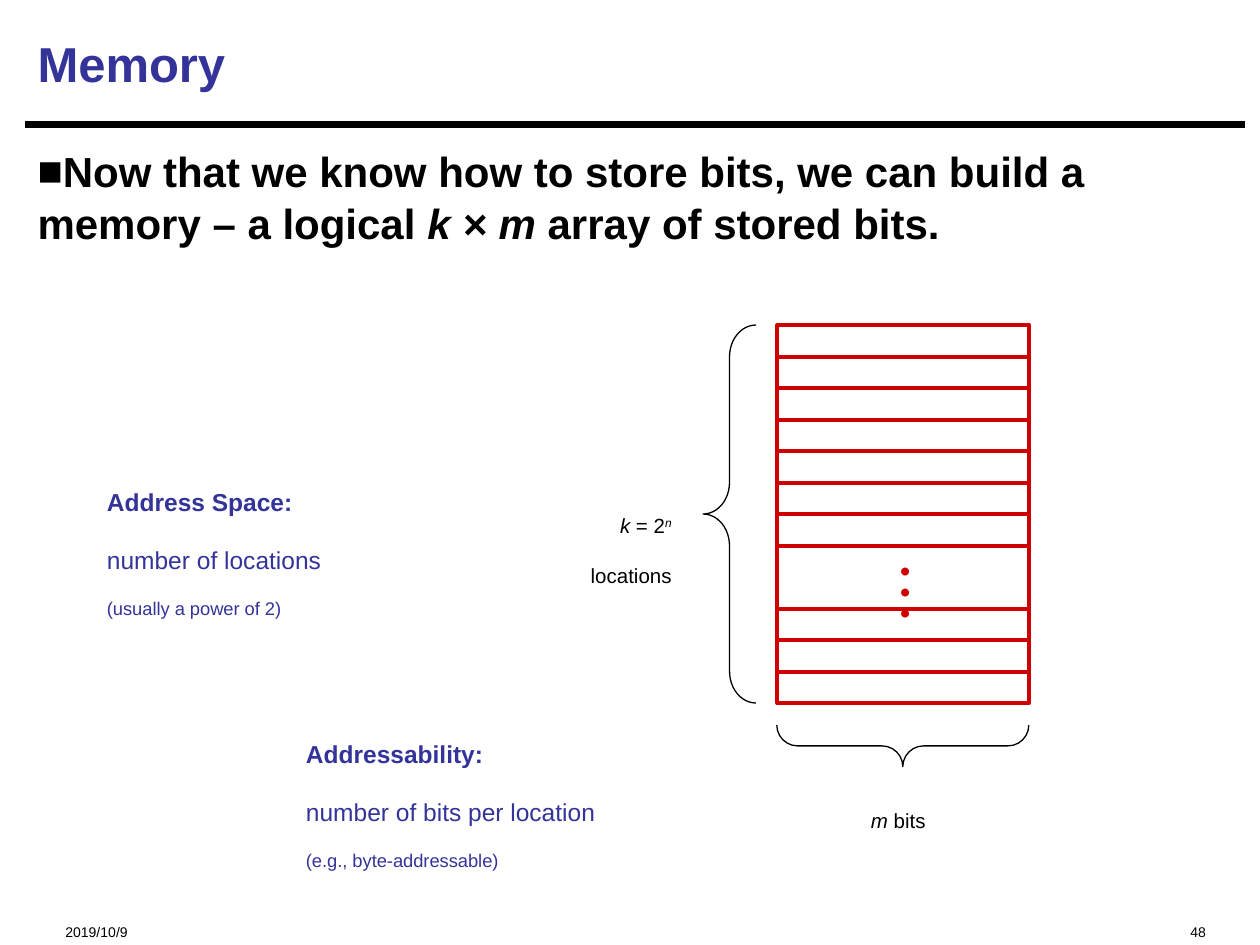
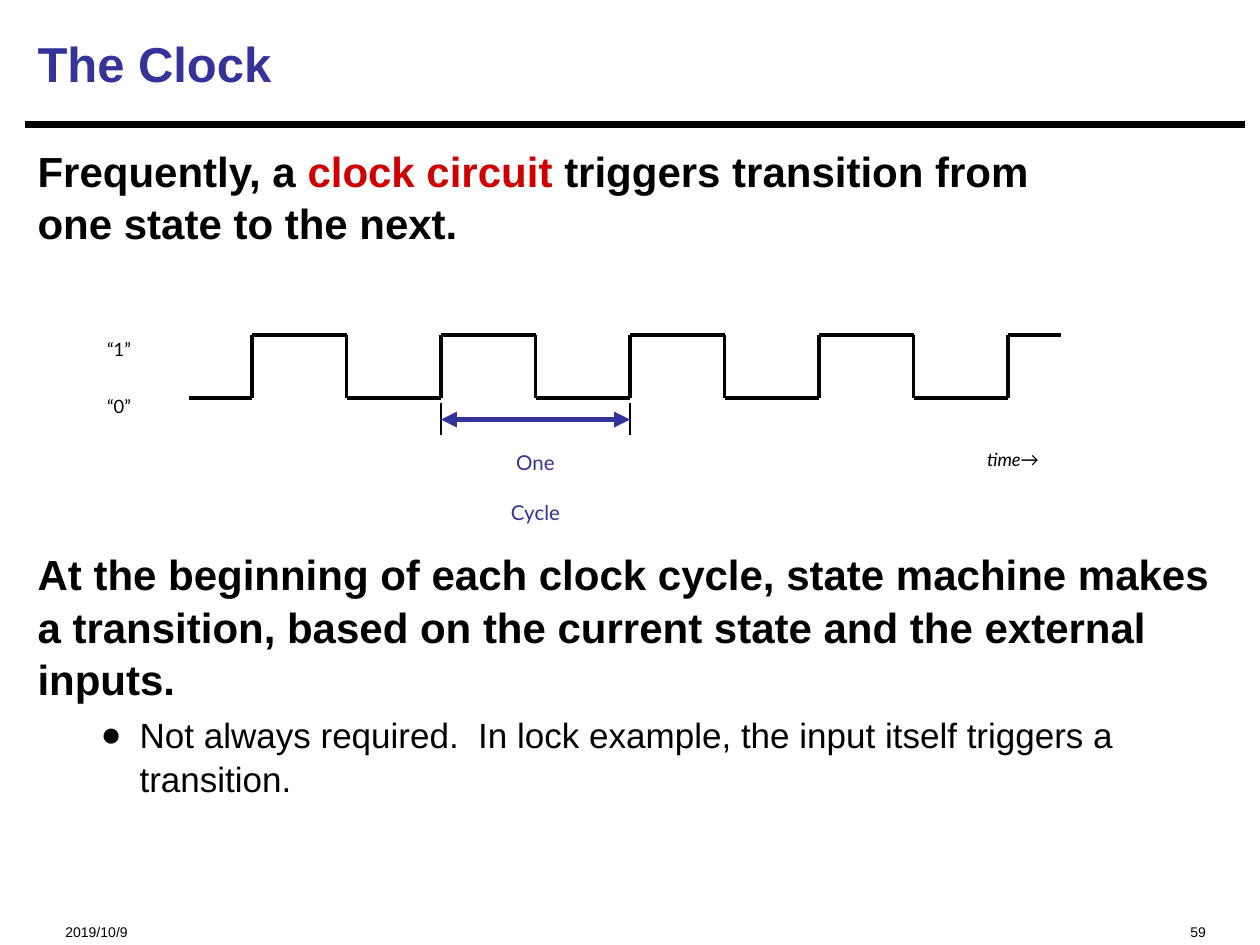
from pptx import Presentation
from pptx.dml.color import RGBColor
from pptx.enum.shapes import MSO_CONNECTOR, MSO_SHAPE
from pptx.enum.text import MSO_ANCHOR, PP_ALIGN
from pptx.oxml.ns import qn
from pptx.util import Inches, Pt
from lxml.etree import SubElement

COLORS = {"ink": "000000", "blue": "333399", "red": "CE0000"}
ALIGN = {"left": PP_ALIGN.LEFT, "center": PP_ALIGN.CENTER, "right": PP_ALIGN.RIGHT}
BODY = dict(size=24, bold=True, space=1.04)


def color(name):
    return RGBColor.from_string(COLORS[name])


def add_run(para, text, size, font, ink, bold=False, italic=False, base=0):
    """Add one run; a newline in the text becomes a line break."""
    for i, part in enumerate(text.split("\n")):
        if i:
            para.add_line_break()
        if not part:
            continue
        run = para.add_run()
        run.text = part
        face = run.font
        face.size, face.name = Pt(size), font
        face.bold, face.italic = bold, italic
        face.color.rgb = color(ink)
        if base:
            run._r.get_or_add_rPr().set("baseline", str(base * 1000))


def add_bullet(para, char, left=0, hang=0):
    props = para._p.get_or_add_pPr()
    props.set("marL", str(Inches(left)))
    props.set("indent", str(Inches(-hang)))
    SubElement(props, qn("a:buFont")).set("typeface", "Arial")
    SubElement(props, qn("a:buChar")).set("char", char)


def add_text(shapes, box, *paras, size=10.5, font="Arial", ink="ink", bold=False,
             align="left", space=2.0, anchor=MSO_ANCHOR.TOP):
    """Each paragraph is a string or a list of strings and (string, format) pairs."""
    shape = shapes.add_textbox(*map(Inches, box))
    frame = shape.text_frame
    frame.word_wrap = True
    frame.vertical_anchor = anchor
    for i, runs in enumerate(paras):
        para = frame.add_paragraph() if i else frame.paragraphs[0]
        para.alignment, para.line_spacing = ALIGN[align], space
        for item in [runs] if isinstance(runs, str) else runs:
            text, style = (item, {}) if isinstance(item, str) else item
            add_run(para, text, **{**dict(size=size, font=font, ink=ink, bold=bold), **style})
    return frame


def add_line(shapes, start, end, ink="ink", width=2.25, arrows=False):
    line = shapes.add_connector(MSO_CONNECTOR.STRAIGHT, *map(Inches, (*start, *end)))
    line.line.color.rgb = color(ink)
    line.line.width = Pt(width)
    SubElement(line._element.spPr, qn("a:effectLst"))
    if arrows:
        for tag in ("a:headEnd", "a:tailEnd"):
            SubElement(line.line._get_or_add_ln(), qn(tag)).set("type", "triangle")


def add_outline(shapes, kind, box, ink="ink", width=0.75, adjust=(), turn=0):
    shape = shapes.add_shape(kind, *map(Inches, box))
    shape.shadow.inherit = False
    shape.fill.background()
    shape.line.color.rgb = color(ink)
    shape.line.width = Pt(width)
    shape.rotation = turn
    for i, value in enumerate(adjust):
        shape.adjustments[i] = value


def add_page(deck, title, number):
    shapes = deck.slides.add_slide(deck.slide_layouts[6]).shapes
    add_line(shapes, (0.2, 0.99), (9.88, 0.99), width=3.75)
    add_text(shapes, (0.42, 7.15, 2.5, 0.27), "2019/10/9", size=8)
    add_text(shapes, (6.67, 7.15, 3, 0.27), number, size=8, align="right")
    add_text(shapes, (0.2, 0.08, 9.67, 0.84), title, size=28, ink="blue", bold=True,
             space=1.0, anchor=MSO_ANCHOR.MIDDLE)
    return shapes


def add_term(shapes, box, term, meaning, remark):
    add_text(shapes, box, [(term, dict(bold=True))],
             [meaning + "\n", (remark, dict(size=10.5))], size=14, ink="blue")


def add_array(shapes):
    """Draw the stack of memory rows, with one double row for the dots."""
    left, top, wide, row, rows = 6.17, 2.58, 2, 0.25, 12
    group = shapes.add_group_shape().shapes
    add_outline(group, MSO_SHAPE.RECTANGLE, (left, top, wide, row * rows), "red", 2.25)
    for i in range(1, rows):
        if i != 8:
            y = top + i * row
            add_line(group, (left, y), (left + wide, y), "red")
    add_text(group, (7, 4.4, 0.37, 0.55), *"•••", font="Lato", ink="red", bold=True,
             align="center", space=0.96)


def add_wave(shapes):
    high, low = 2.66, 3.16
    edges = [2 + 0.75 * i for i in range(9)]
    stops = [1.5, *edges, 8.42]
    for i, (start, end) in enumerate(zip(stops, stops[1:])):
        y = high if i % 2 else low
        add_line(shapes, (start, y), (end, y))
    for x in edges:
        add_line(shapes, (x, high), (x, low))


def draw_memory(deck):
    shapes = add_page(deck, "Memory", "48")
    frame = add_text(shapes, (0.2, 1.09, 9.67, 1.1),
                     ["Now that we know how to store bits, we can build a memory – a logical ",
                      ("k × m", dict(italic=True)), " array of stored bits."], **BODY)
    add_bullet(frame.paragraphs[0], "■")
    add_array(shapes)
    add_outline(shapes, MSO_SHAPE.LEFT_BRACE, (5.58, 2.58, 0.42, 3), adjust=(0.6, 0.5))
    add_outline(shapes, MSO_SHAPE.RIGHT_BRACE, (7, 4.92, 0.33, 2), adjust=(0.5, 0.5), turn=90)
    slant = dict(italic=True)
    add_text(shapes, (4.13, 3.83, 1.3, 0.77),
             [("k", slant), " = 2", ("n", dict(italic=True, base=30))], "locations",
             size=11.7, align="right")
    add_text(shapes, (6.66, 6.17, 0.94, 0.43), [("m", slant), " bits"],
             size=11.7, align="center")
    add_term(shapes, (0.75, 3.58, 3.11, 1.2), "Address Space:",
             "number of locations", "(usually a power of 2)")
    add_term(shapes, (2.33, 5.58, 4.13, 1.2), "Addressability:",
             "number of bits per location", "(e.g., byte-addressable)")


def draw_clock(deck):
    shapes = add_page(deck, "The Clock", "59")
    add_text(shapes, (0.2, 1.09, 9.67, 1.1),
             ["Frequently, a ", ("clock circuit", dict(ink="red")),
              " triggers transition from\none state to the next."], **BODY)
    frame = add_text(shapes, (0.2, 4.29, 9.67, 2.3),
                     "At the beginning of each clock cycle, state machine makes a transition, "
                     "based on the current state and the external inputs.",
                     [("Not always required.  In lock example, the input itself triggers "
                       "a transition.", dict(size=20, bold=False))], **BODY)
    note = frame.paragraphs[1]
    note.space_before = Pt(4.5)
    add_bullet(note, "●", 0.81, 0.31)
    add_wave(shapes)
    label = dict(font="Lato", align="center")
    for text, y in (("“1”", 2.46), ("“0”", 2.91)):
        add_text(shapes, (0.69, y, 0.51, 0.4), text, **label)
    add_text(shapes, (7.58, 3.33, 0.92, 0.4), [("time→", dict(italic=True))], **label)
    for x in (3.5, 5):
        add_line(shapes, (x, 3.2), (x, 3.45), width=0.75)
    add_line(shapes, (3.5, 3.33), (5, 3.33), "blue", 3, arrows=True)
    add_text(shapes, (3.8, 3.33, 0.9, 0.77), "One", "Cycle", size=11.7, ink="blue", **label)


def main():
    deck = Presentation()
    deck.slide_width, deck.slide_height = Inches(10), Inches(7.5)
    draw_memory(deck)
    draw_clock(deck)
    deck.save("out.pptx")


if __name__ == "__main__":
    main()
